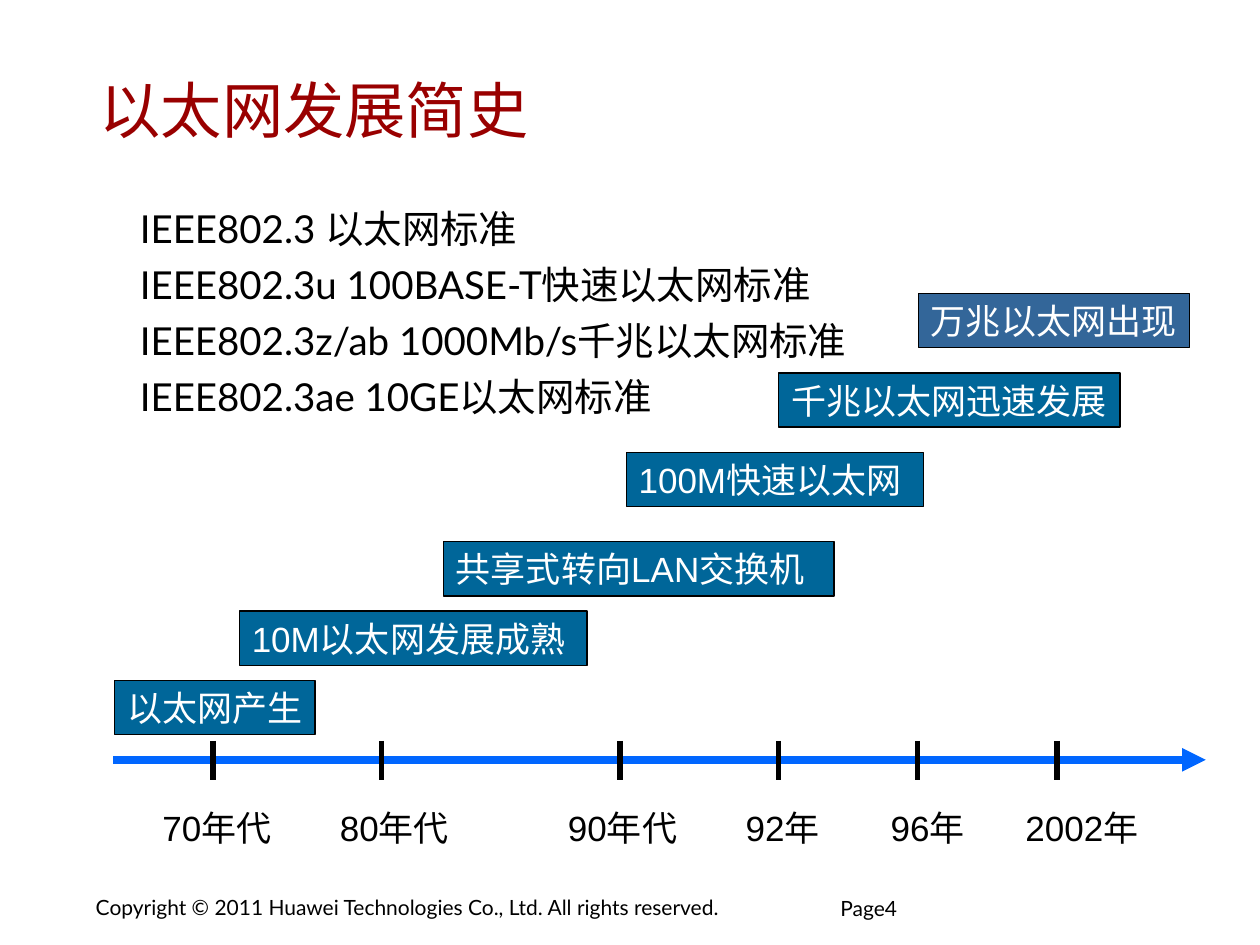
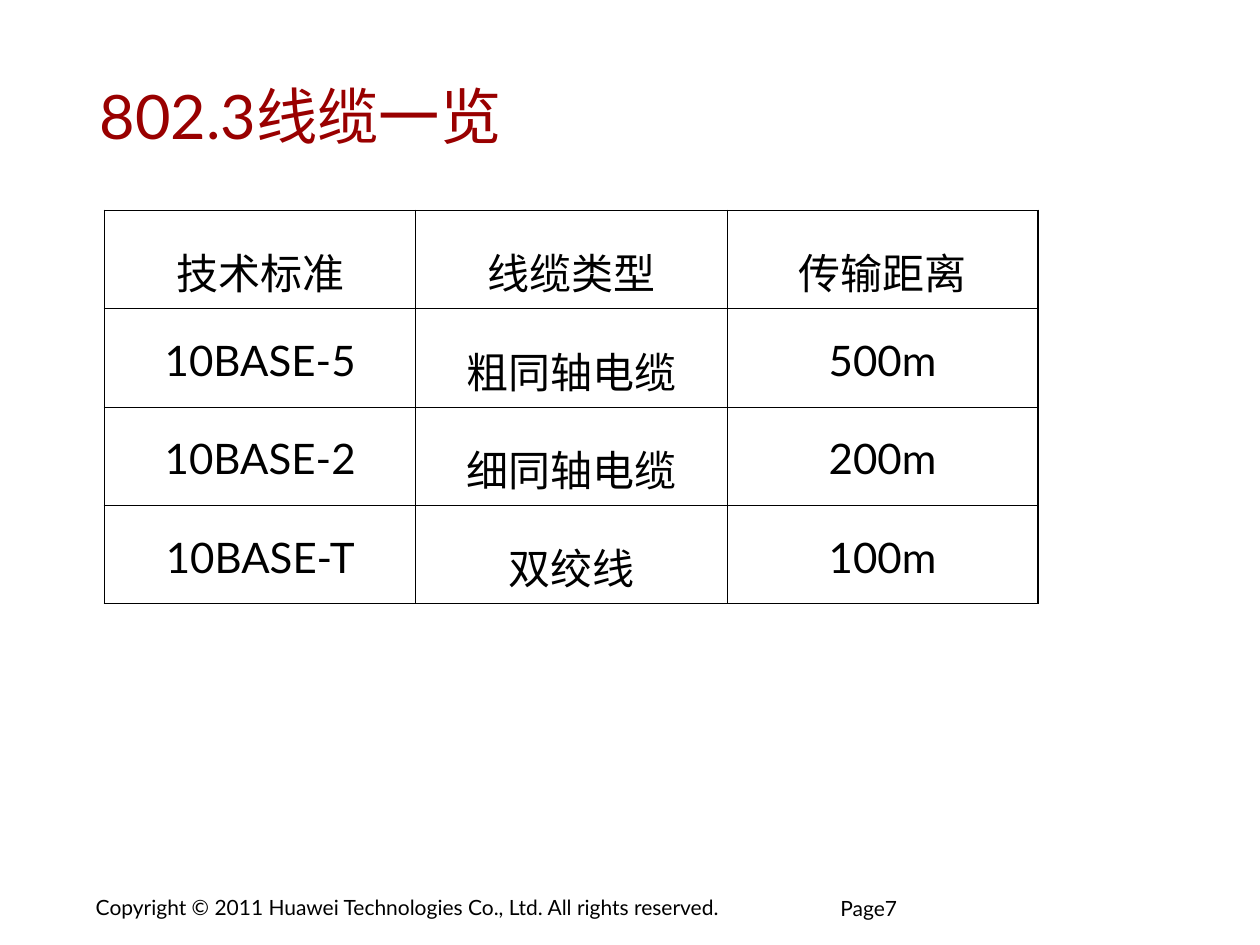
from dataclasses import dataclass

from pptx import Presentation
from pptx.dml.color import RGBColor
from pptx.enum.shapes import MSO_CONNECTOR as Connector, MSO_SHAPE as Shape
from pptx.enum.text import MSO_ANCHOR as Anchor, MSO_AUTO_SIZE as AutoSize, PP_ALIGN as Align
from pptx.oxml.ns import qn
from pptx.util import Inches, Pt
from lxml.etree import SubElement


@dataclass(frozen=True)
class Theme:
    heading_font: str = "Lato"
    diagram_font: str = "Arial"
    title: str = "990000"
    ink: str = "000000"
    paper: str = "FFFFFF"
    teal: str = "006699"
    slate: str = "336699"
    axis: str = "0066FF"
    title_size: float = 35
    table_size: float = 24
    body_size: float = 22
    diagram_size: float = 20
    footer_size: float = 12
    outer_border: float = 1.08
    inner_border: float = 0.45


THEME = Theme()
INSETS = (0.09, 0.04)
COPYRIGHT = "Copyright © 2011 Huawei Technologies Co., Ltd. All rights reserved."

STANDARDS = [
    "IEEE802.3 以太网标准",
    "IEEE802.3u 100BASE-T快速以太网标准",
    "IEEE802.3z/ab 1000Mb/s千兆以太网标准",
    "IEEE802.3ae 10GE以太网标准",
]
MILESTONES = [
    ("以太网产生", 0.91, 5.4, 1.59, THEME.teal),
    ("10M以太网发展成熟", 1.9, 4.85, 2.76, THEME.teal),
    ("共享式转向LAN交换机", 3.52, 4.3, 3.1, THEME.teal),
    ("100M快速以太网", 4.97, 3.59, 2.36, THEME.teal),
    ("千兆以太网迅速发展", 6.18, 2.96, 2.71, THEME.teal),
    ("万兆以太网出现", 7.29, 2.33, 2.15, THEME.slate),
]
DATES = [
    ("70年代", 1.69, 1.19, 1.14),
    ("80年代", 3.03, 2.6, 1.14),
    ("90年代", 4.92, 4.41, 1.14),
    ("92年", 6.18, 5.82, 0.87),
    ("96年", 7.28, 6.97, 0.87),
    ("2002年", 8.39, 8.04, 1.2),
]
CABLES = [
    ("技术标准", "线缆类型", "传输距离"),
    ("10BASE-5", "粗同轴电缆", "500m"),
    ("10BASE-2", "细同轴电缆", "200m"),
    ("10BASE-T", "双绞线", "100m"),
]


def write(frame, text, *, size, font=THEME.heading_font, color=THEME.ink,
          align=Align.LEFT, line_spacing=None, space_before=0):
    for index, line in enumerate(text.split("\n")):
        para = frame.add_paragraph() if index else frame.paragraphs[0]
        para.alignment = align
        para.line_spacing = line_spacing
        para.space_before = Pt(space_before if index else 0)
        span = para.add_run()
        span.text = line
        span.font.name = font
        span.font.size = Pt(size)
        span.font.color.rgb = RGBColor.from_string(color)


def set_frame(frame, insets=(0.1, 0.05), wrap=True, grow=False, anchor=Anchor.TOP):
    side, edge = map(Inches, insets)
    frame.margin_left = frame.margin_right = side
    frame.margin_top = frame.margin_bottom = edge
    frame.word_wrap = wrap
    frame.auto_size = AutoSize.SHAPE_TO_FIT_TEXT if grow else AutoSize.NONE
    frame.vertical_anchor = anchor


def add_text(page, text, place, *, insets=(0.1, 0.05), wrap=True, grow=False, **style):
    box = page.shapes.add_textbox(*map(Inches, place))
    set_frame(box.text_frame, insets, wrap, grow)
    write(box.text_frame, text, **style)


def add_milestone(page, text, left, top, width, fill):
    box = page.shapes.add_shape(Shape.RECTANGLE, *map(Inches, (left, top, width, 0.43)))
    box.shadow.inherit = False
    box.fill.solid()
    box.fill.fore_color.rgb = RGBColor.from_string(fill)
    box.line.color.rgb = RGBColor.from_string(THEME.ink)
    box.line.width = Pt(0.75)
    set_frame(box.text_frame, wrap=False, grow=True)
    write(box.text_frame, text, size=THEME.diagram_size, font=THEME.diagram_font,
          color=THEME.paper)


def add_line(page, start, end, color, width, arrow=False):
    line = page.shapes.add_connector(Connector.STRAIGHT, *map(Inches, start + end))
    line.line.color.rgb = RGBColor.from_string(color)
    line.line.width = Pt(width)
    if arrow:
        SubElement(line.get_or_add_ln(), qn("a:tailEnd"), type="triangle")
    SubElement(line._element.spPr, qn("a:effectLst"))


def add_timeline(page):
    axis_y = 6.03
    add_line(page, (0.9, axis_y), (9.57, axis_y), THEME.axis, 4.5, arrow=True)
    for text, tick, left, width in DATES:
        add_line(page, (tick, 5.88), (tick, 6.19), THEME.ink, 3)
        add_text(page, text, (left, 6.35, width, 0.43), wrap=False, grow=True,
                 size=THEME.diagram_size, font=THEME.diagram_font)


def set_borders(cell, widths):
    properties = cell._tc.get_or_add_tcPr()
    for side, width in widths.items():
        line = SubElement(properties, qn(f"a:ln{side}"), w=str(Pt(width)))
        fill = SubElement(line, qn("a:solidFill"))
        SubElement(fill, qn("a:srgbClr"), val=THEME.ink)


def add_grid(page, rows, left, top, column_width, row_height):
    last_row, last_column = len(rows) - 1, len(rows[0]) - 1
    size = (column_width * len(rows[0]), row_height * len(rows))
    table = page.shapes.add_table(len(rows), len(rows[0]),
                                  *map(Inches, (left, top) + size)).table
    table.first_row = table.horz_banding = False
    for column in table.columns:
        column.width = Inches(column_width)
    for r, row in enumerate(rows):
        table.rows[r].height = Inches(row_height)
        for c, text in enumerate(row):
            cell = table.cell(r, c)
            outer = {"L": c == 0, "R": c == last_column, "T": r == 0, "B": r == last_row}
            set_borders(cell, {side: THEME.outer_border if edge else THEME.inner_border
                               for side, edge in outer.items()})
            cell.fill.background()
            write(cell.text_frame, text, size=THEME.table_size, align=Align.CENTER,
                  line_spacing=1.4)


def add_page(deck, title, title_top, number):
    page = deck.slides.add_slide(deck.slide_layouts.get_by_name("Title Only"))
    heading = page.shapes.title
    heading.left, heading.top, heading.width, heading.height = map(
        Inches, (0.7, title_top, 8.45, 0.95))
    set_frame(heading.text_frame, INSETS, anchor=Anchor.MIDDLE)
    write(heading.text_frame, title, size=THEME.title_size, color=THEME.title)
    add_text(page, COPYRIGHT, (0.67, 7.06, 5.57, 0.29), insets=INSETS, wrap=False,
             grow=True, size=THEME.footer_size)
    add_text(page, f"Page{number}", (6.67, 7.14, 1.66, 0.36), insets=(0, 0),
             size=THEME.footer_size, line_spacing=0.85)
    return page


def add_history(deck):
    page = add_page(deck, "以太网发展简史", 0.39, 4)
    add_text(page, "\n".join(STANDARDS), (1.02, 1.63, 8.36, 2.95), insets=INSETS,
             size=THEME.body_size, line_spacing=0.9, space_before=8.2)
    add_timeline(page)
    for milestone in MILESTONES:
        add_milestone(page, *milestone)


def add_cables(deck):
    page = add_page(deck, "802.3线缆一览", 0.44, 7)
    add_grid(page, CABLES, 0.83, 1.67, 2.47, 0.78)


def main():
    deck = Presentation()
    deck.slide_width, deck.slide_height = Inches(10), Inches(7.5)
    add_history(deck)
    add_cables(deck)
    deck.save("out.pptx")


if __name__ == "__main__":
    main()
